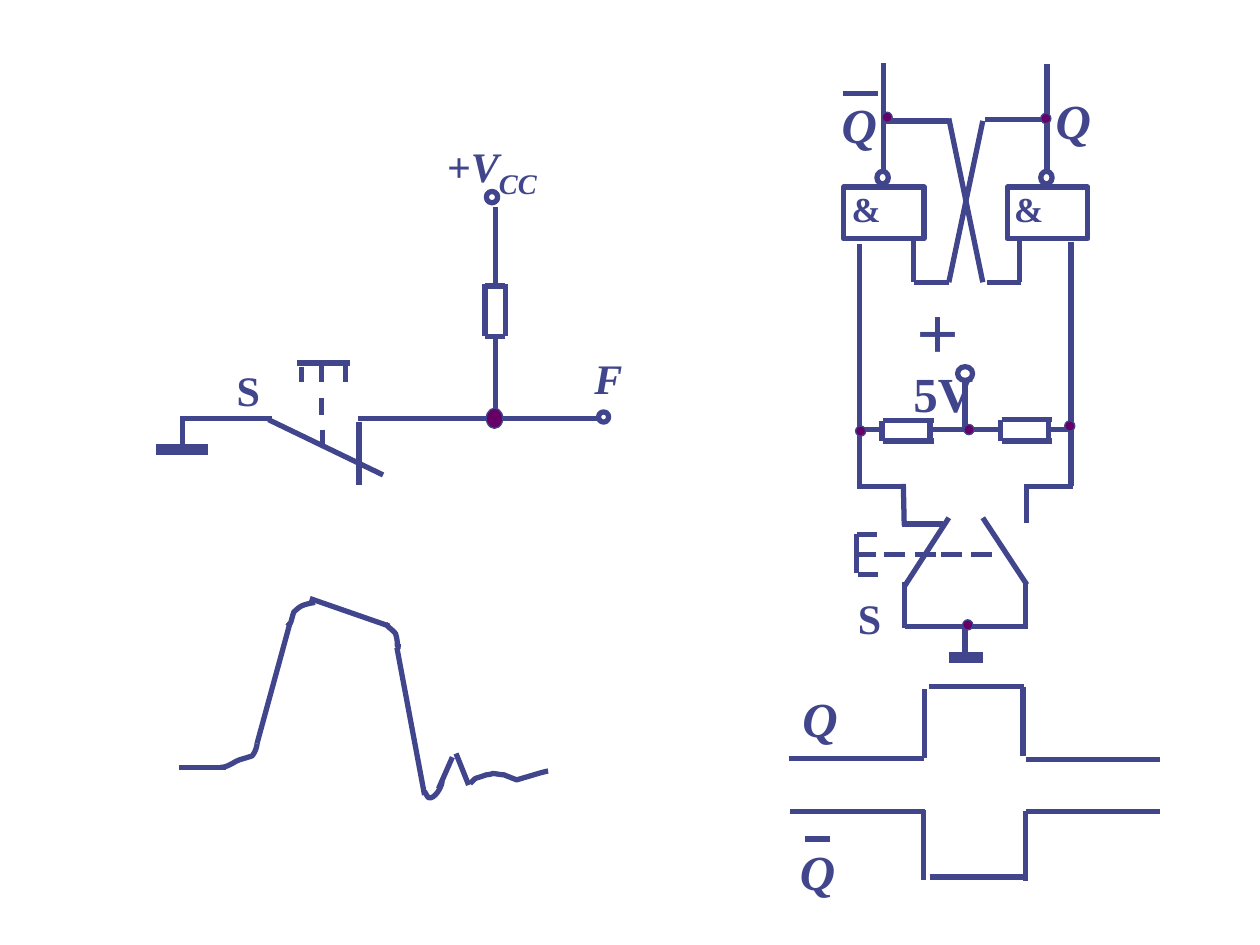
import pptx
import pptx.util
import pptx.dml.color
import pptx.enum.shapes
import pptx.oxml.ns
import lxml.etree

Pt = pptx.util.Pt
INK = pptx.dml.color.RGBColor(0x40, 0x45, 0x8C)
PLUM = pptx.dml.color.RGBColor(0x66, 0x00, 0x66)
OVAL = pptx.enum.shapes.MSO_SHAPE.OVAL
BOX = pptx.enum.shapes.MSO_SHAPE.RECTANGLE
LINE = pptx.enum.shapes.MSO_CONNECTOR.STRAIGHT

deck = pptx.Presentation()
deck.slide_width, deck.slide_height = Pt(720), Pt(540)
slide = deck.slides.add_slide(deck.slide_layouts[6])
shapes = slide.shapes


def wire(x1, y1, x2, y2, width=3):
    line = shapes.add_connector(LINE, Pt(x1), Pt(y1), Pt(x2), Pt(y2))
    line.line.color.rgb = INK
    line.line.width = Pt(width)
    props = line._element.spPr
    lxml.etree.SubElement(props, pptx.oxml.ns.qn("a:effectLst"))


def label(x, y, wide, high, size, *runs):
    """Each run is (text, italic, subscript)."""
    frame = shapes.add_textbox(Pt(x), Pt(y), Pt(wide), Pt(high)).text_frame
    frame.word_wrap = True
    for text, slant, sub in runs:
        run = frame.paragraphs[0].add_run()
        run.text = text
        font = run.font
        font.name, font.size, font.bold = "Times New Roman", Pt(size), True
        font.italic = slant
        font.color.rgb = INK
        if sub:
            font.size = Pt(28)
            run._r.get_or_add_rPr().set("baseline", "-25000")


# Push-button circuit: ground, switch, output wire, supply
wires = [
    (103, 239, 155.5, 239), (104.4, 239, 104.4, 259.2),
    (89.3, 257, 118.8, 257, 6), (153.4, 239.8, 218.9, 271.4),
    (205.2, 241.2, 205.2, 277.2), (204.5, 239, 341.3, 239),
    (283, 193, 283, 239), (283, 118.1, 283, 163.4),
]
# Its resistor
wires += [(x, 192.2, x, 162) for x in (277.2, 288.7)]
wires += [(277.2, y, 288.7, y) for y in (163.4, 192.2)]
# Its button
wires += [
    (183.6, 208.8, 183.6, 218.2), (183.6, 227.5, 183.6, 236.9),
    (184.3, 245.5, 184.3, 254.2), (169.9, 207.4, 200.2, 207.4),
    (172.1, 209.5, 172.1, 218.2), (197.3, 208.8, 197.3, 218.2),
]

# Bouncing waveform: straight parts
wires += [
    (102.2, 438.5, 128.9, 438.5), (146.9, 424.8, 165.6, 356.4),
    (177.1, 342, 222.5, 357.8), (226.8, 370.1, 242.6, 454.3),
    (250.6, 450.7, 258.5, 432.7), (260.6, 430.6, 267.8, 448.6),
]

# Latch: outputs and crossed feedback
wires += [
    (504.7, 36, 504.7, 97.9), (598.3, 36.7, 598.3, 98.6),
    (561.6, 69.1, 542.2, 161.3), (542.2, 67.7, 561.6, 161.3),
    (522, 137.5, 522, 161.3), (582.5, 137.5, 582.5, 161.3),
    (522, 161.3, 542.2, 161.3), (563.8, 161.3, 583.2, 161.3),
    (506.2, 69.1, 542.2, 69.1), (563, 68.4, 598.3, 68.4),
]
# Pull-up resistors
for dx, top in ((0, 240.5), (67.7, 239.8)):
    wires += [(504.7 + dx, y, 533.5 + dx, y) for y in (top, 252)]
    wires += [(x + dx, top, x + dx, 252) for x in (531.4, 504)]
# Supply wires
wires += [(551.5, 218.2, 551.5, 246.2)]
wires += [(a, 245.5, b, 245.5)
          for a, b in ((489.6, 504), (531.4, 571), (599.8, 612.7))]
# Switch and ground
wires += [
    (491, 139.7, 491, 279.4), (612, 138.2, 612, 277.9),
    (489.6, 277.9, 517.7, 277.9), (586.1, 277.9, 613.4, 277.9),
    (542.2, 295.9, 517, 334.8), (561.6, 295.9, 586.8, 334.1),
    (516.2, 276.5, 516.7, 300.2), (515.5, 299.5, 538.6, 299.5),
    (517, 357.8, 587.5, 357.8), (517, 332.6, 517, 358.6),
    (586.1, 333.4, 586.1, 359.3), (586.8, 276.5, 586.8, 298.8),
    (551.5, 358.6, 551.5, 376.6), (542.2, 375.8, 561.6, 375.8, 6),
]
# Dashed link and button
wires += [(x, 316.8, x + 11.9, 316.8)
          for x in (488.9, 505.4, 522.7, 537.8, 555.1)]
wires += [
    (489.6, 305.3, 501.1, 305.3), (490.3, 328.3, 501.8, 328.3),
    (489.6, 305.3, 489.6, 327.6),
]

# Clean pulses
wires += [
    (450.7, 433.4, 527.8, 433.4), (586.1, 434.2, 663.1, 434.2),
    (530.6, 392.4, 585.4, 392.4), (528.5, 393.8, 528.5, 433.4),
    (584.6, 392.4, 584.6, 432), (586.1, 463.7, 663.1, 463.7),
    (451.4, 463.7, 528.5, 463.7), (586.1, 463.7, 586.1, 503.3),
    (527.8, 463, 527.8, 502.6), (531.4, 501.1, 586.1, 501.1),
]
# Bars over the inverted outputs
wires += [(481.7, 53.3, 501.8, 53.3), (460.1, 479.5, 474.5, 479.5)]

for ends in wires:
    wire(*ends)

# Waveform curves: a start, then three Bezier points for each segment
curves = [
    [(146.9, 424.8), (146.9, 427), (145.4, 430.6), (144, 432),
     (141.8, 432.7), (139.7, 433.4), (136.8, 434.2),
     (133.2, 435.6), (130.3, 438.5), (126, 438.5)],
    [(180, 344.2), (173.5, 345.6), (172.1, 345.6), (167.8, 349.9),
     (165.6, 357.1), (167, 354.9), (164.2, 357.8)],
    [(220.3, 356.4), (221.8, 358.6), (224.6, 360), (226.1, 362.2),
     (228.2, 369.4), (225.4, 369.4), (229, 369.4)],
    [(242.6, 452.2), (243.4, 453.6), (244.1, 455), (244.8, 455.8),
     (248.4, 457.2), (252.7, 449.3), (252.7, 446.4)],
    [(268.6, 447.8), (272.9, 443.5), (270, 445.7), (277.9, 442.8),
     (279.4, 442.8), (281.5, 442.1), (281.5, 442.1),
     (283.7, 442.1), (285.8, 442.8), (288, 442.8),
     (290.4, 443.8), (292.8, 444.7), (295.2, 445.7),
     (295.2, 445.7), (307.4, 442.1), (307.4, 442.1),
     (309.6, 441.4), (313.2, 440.6), (313.2, 440.6)],
]
for knots in curves:
    dots = []
    for i in range(0, len(knots) - 1, 3):
        for t in (n / 8 for n in range(1, 9)):
            mix = ((1 - t) ** 3, 3 * t * (1 - t) ** 2, 3 * t * t * (1 - t), t ** 3)
            dots.append([Pt(sum(m * k[axis] for m, k in zip(mix, knots[i:i + 4])))
                         for axis in (0, 1)])
    pen = shapes.build_freeform(Pt(knots[0][0]), Pt(knots[0][1]))
    pen.add_line_segments(dots, close=False)
    curve = pen.convert_to_shape()
    curve.shadow.inherit = False
    curve.fill.background()
    curve.line.color.rgb, curve.line.width = INK, Pt(3)

# Gates, open terminals and solid junctions
parts = [(BOX, 490.3 + dx, 98.6, 29.5, 46.1, None) for dx in (0, 93.6)]
parts += [(OVAL, *spot, None) for spot in (
    (277.9, 109.4, 6.5, 6.5), (342, 235.4, 5.8, 5.8), (501.1, 97.9, 6.5, 7.2),
    (594.7, 97.9, 6.5, 7.2), (547.2, 209.5, 8.6, 7.9))]
parts += [(OVAL, 277.9, 233.3, 9.4, 11.5, PLUM)]
parts += [(OVAL, x, y, 5.8, 5.8, PLUM) for x, y in (
    (504, 64.1), (594.7, 64.8), (608.4, 240.5),
    (550.8, 242.6), (488.9, 243.4), (550.1, 354.2))]
for kind, x, y, wide, high, fill in parts:
    part = shapes.add_shape(kind, Pt(x), Pt(y), Pt(wide), Pt(high))
    part.shadow.inherit = False
    part.line.color.rgb = INK
    part.line.width = Pt(0.75 if fill else 3)
    if fill:
        part.fill.solid()
        part.fill.fore_color.rgb = fill
    else:
        part.fill.background()
    if kind == BOX:
        part.rotation = 270

# Labels
label(248.4, 72.7, 77, 45.4, 24,
      ("+", False, False), ("V", True, False), ("CC", True, True))
label(332.6, 198, 29.5, 36, 24, ("F", True, False))
label(128.2, 204.5, 74.9, 36, 24, ("S", False, False))
label(483.1, 334.8, 36, 36, 24, ("S", False, False))
label(514.8, 170.6, 76, 74.9, 28, ("＋5V", False, False))
for x in (479.5, 572.4):
    label(x, 103.7, 34.6, 31.7, 20, ("&", False, False))
for x, y in ((596.2, 48.2), (473.8, 50.4), (451.4, 390.2), (450, 477.4)):
    label(x, y, 42, 41, 28, ("Q", True, False))

deck.save("out.pptx")
